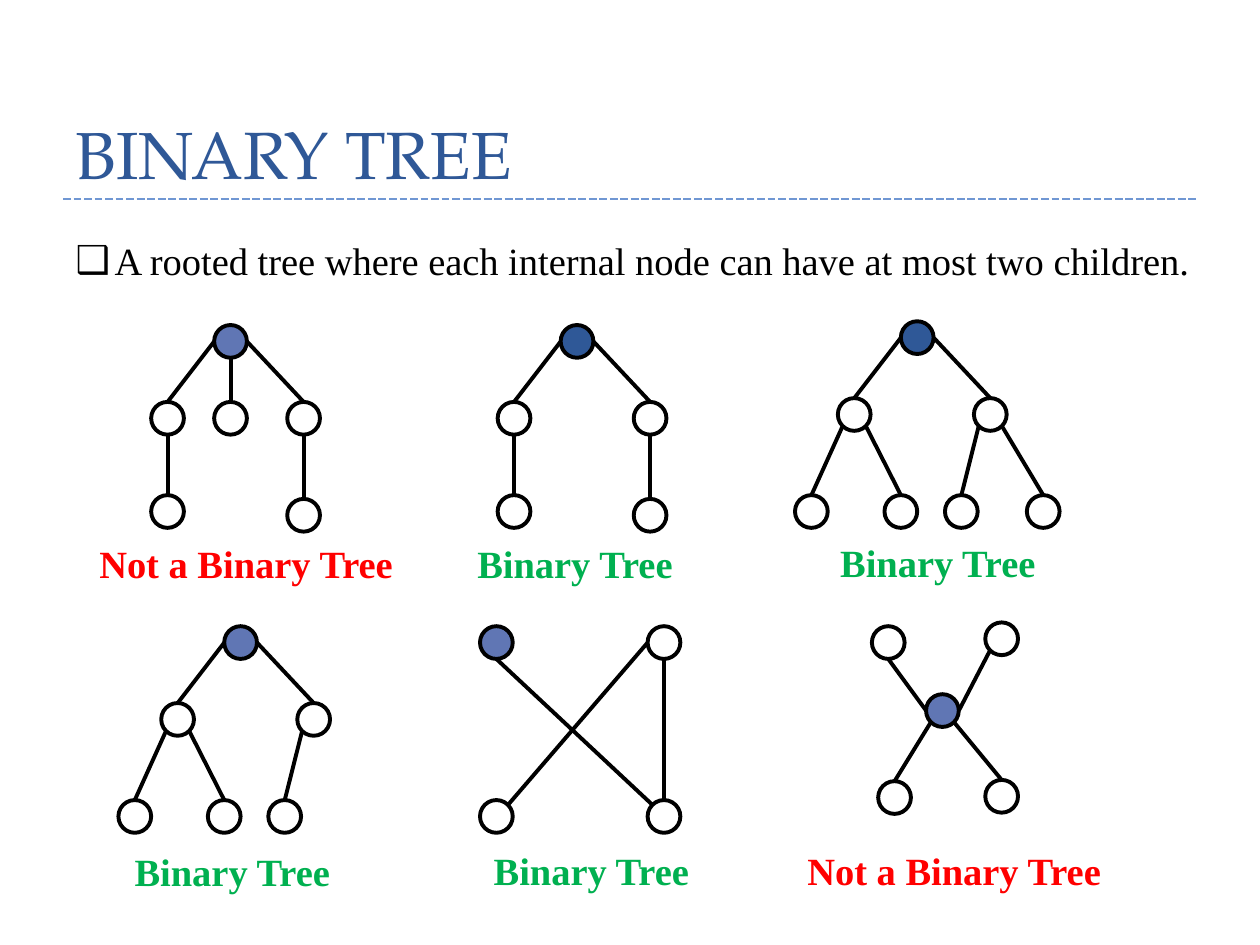
from lxml.etree import SubElement
from pptx import Presentation
from pptx.dml.color import RGBColor
from pptx.enum.dml import MSO_LINE
from pptx.enum.shapes import MSO_CONNECTOR, MSO_SHAPE
from pptx.enum.text import MSO_ANCHOR, MSO_AUTO_SIZE, PP_ALIGN
from pptx.oxml.ns import qn
from pptx.util import Inches, Pt

COLORS = {
    "title": "2F5897", "rule": "7097D3", "black": "000000",
    "light": "6076B4", "dark": "2F5897", "yes": "00B050", "no": "FF0000",
}
TITLE_FONT = {"name": "TeX Gyre Pagella", "size": Pt(38), "bold": False}
BODY_FONT = {"name": "Times New Roman", "size": Pt(22), "bold": False}
CAPTION_FONT = {**BODY_FONT, "bold": True}

DIAMETER = 0.26
RADIUS = DIAMETER / 2
DIAGONAL = RADIUS * 0.71
SITES = {
    "top": (0, -RADIUS), "bottom": (0, RADIUS),
    "left": (-RADIUS, 0), "right": (RADIUS, 0),
    "lower left": (-DIAGONAL, DIAGONAL), "lower right": (DIAGONAL, DIAGONAL),
    "upper left": (-DIAGONAL, -DIAGONAL), "upper right": (DIAGONAL, -DIAGONAL),
}

FORK_NODES = {"root": (0, 0), "a": (-0.5, 0.61), "b": (0.58, 0.61)}
FORK_EDGES = [("root", "left", "a", "top"), ("root", "right", "b", "top")]
CHAIN_NODES = {**FORK_NODES, "a1": (-0.5, 1.35), "b1": (0.58, 1.38)}
CHAIN_EDGES = FORK_EDGES + [("a", "bottom", "a1", "top"), ("b", "bottom", "b1", "top")]
THREE_LEAF_NODES = {**FORK_NODES, "a1": (-0.84, 1.38), "a2": (-0.13, 1.38), "b1": (0.35, 1.38)}
THREE_LEAF_EDGES = FORK_EDGES + [
    ("a", "lower left", "a1", "top"), ("a", "lower right", "a2", "top"),
    ("b", "lower left", "b1", "top"),
]
THREE_CHILD = (
    {**CHAIN_NODES, "c": (0, 0.61)}, CHAIN_EDGES + [("root", "bottom", "c", "top")],
)
TWO_CHAIN = (CHAIN_NODES, CHAIN_EDGES)
FOUR_LEAF = (
    {**THREE_LEAF_NODES, "b2": (1, 1.38)},
    THREE_LEAF_EDGES + [("b", "lower right", "b2", "top")],
)
THREE_LEAF = (THREE_LEAF_NODES, THREE_LEAF_EDGES)
CROSSING = (
    {"root": (0, 0), "a": (0, 1.38), "b": (1.33, 1.38), "c": (1.33, 0)},
    [("root", "bottom", "b", "upper left"), ("c", "left", "a", "upper right"),
     ("c", "bottom", "b", "top")],
)
STAR = (
    {"root": (0, 0), "a": (-0.43, -0.54), "b": (0.47, -0.57),
     "c": (-0.38, 0.69), "d": (0.47, 0.68)},
    [("root", "left", "a", "bottom"), ("root", "right", "b", "lower left"),
     ("root", "lower left", "c", "top"), ("root", "lower right", "d", "top")],
)
TREES = [
    (THREE_CHILD, (1.7, 2.58), "light", "no", (0.69, 4.24)),
    (TWO_CHAIN, (4.45, 2.58), "dark", "yes", (3.69, 4.24)),
    (FOUR_LEAF, (7.15, 2.55), "dark", "yes", (6.57, 4.23)),
    (THREE_LEAF, (1.78, 4.97), "light", "yes", (0.97, 6.68)),
    (CROSSING, (3.81, 4.97), "light", "yes", (3.82, 6.67)),
    (STAR, (7.35, 5.51), "light", "no", (6.31, 6.67)),
]
CAPTIONS = {"yes": ("Binary Tree", 1.77), "no": ("Not a Binary Tree", 2.56)}


def color(name):
    """Return the named colour."""
    return RGBColor.from_string(COLORS[name])


def set_attributes(target, values):
    """Set each named attribute on the target."""
    for name, value in values.items():
        setattr(target, name, value)


def place(shape, box):
    """Move and size a shape to a box in inches."""
    names = ("left", "top", "width", "height")
    set_attributes(shape, {name: Inches(value) for name, value in zip(names, box)})


def write(shape, text, font_values, color_name, frame_values, paragraph_values):
    """Write one formatted paragraph and return it."""
    set_attributes(shape.text_frame, frame_values)
    paragraph = shape.text_frame.paragraphs[0]
    set_attributes(paragraph, paragraph_values)
    run = paragraph.add_run()
    run.text = text
    set_attributes(run.font, font_values)
    run.font.color.rgb = color(color_name)
    return paragraph


def add_line(shapes, start, end, color_name, width):
    """Draw a straight line without a shadow and return it."""
    line = shapes.add_connector(
        MSO_CONNECTOR.STRAIGHT, *(Inches(value) for value in (*start, *end)))
    line.line.color.rgb = color(color_name)
    line.line.width = Pt(width)
    SubElement(line._element.spPr, qn("a:effectLst"))
    return line


def add_heading(slide, box):
    """Place the title and the dashed rule along its lower edge."""
    left, top, width, height = box
    place(slide.shapes.title, box)
    write(slide.shapes.title, "BINARY TREE", TITLE_FONT, "title",
          {"vertical_anchor": MSO_ANCHOR.BOTTOM, "auto_size": MSO_AUTO_SIZE.NONE},
          {"alignment": PP_ALIGN.LEFT, "line_spacing": Pt(58)})
    bottom = top + height
    rule = add_line(slide.shapes, (left, bottom), (left + width, bottom), "rule", 1.5)
    rule.line.dash_style = MSO_LINE.SQUARE_DOT


def add_definition(slide, box):
    """Place the bulleted definition."""
    body = slide.placeholders[1]
    place(body, box)
    paragraph = write(
        body, "A rooted tree where each internal node can have at most two children.",
        BODY_FONT, "black",
        {"word_wrap": True, "auto_size": MSO_AUTO_SIZE.NONE},
        {"alignment": PP_ALIGN.JUSTIFY, "space_before": Pt(0)})
    properties = paragraph._p.get_or_add_pPr()
    properties.set("marL", str(Inches(0.31)))
    properties.set("indent", str(Inches(-0.31)))
    SubElement(properties, qn("a:buChar")).set("char", "❑")


def add_tree(slide, tree, origin, root_color):
    """Draw a grouped tree with its root circle at the origin."""
    nodes, edges = tree
    shapes = slide.shapes.add_group_shape().shapes
    corners = {name: (origin[0] + x, origin[1] + y) for name, (x, y) in nodes.items()}
    for name, corner in corners.items():
        node = shapes.add_shape(
            MSO_SHAPE.OVAL, *(Inches(value) for value in (*corner, DIAMETER, DIAMETER)))
        node.shadow.inherit = False
        node.line.color.rgb = color("black")
        node.line.width = Pt(2.25)
        if name == "root":
            node.fill.solid()
            node.fill.fore_color.rgb = color(root_color)
        else:
            node.fill.background()
    for first, first_site, second, second_site in edges:
        start, end = (
            [corner + RADIUS + offset for corner, offset in zip(corners[name], SITES[site])]
            for name, site in ((first, first_site), (second, second_site)))
        add_line(shapes, start, end, "black", 2.25)


def add_caption(slide, verdict, corner):
    """Place the verdict below a tree."""
    text, width = CAPTIONS[verdict]
    caption = slide.shapes.add_textbox(
        *(Inches(value) for value in (*corner, width, 0.47)))
    write(caption, text, CAPTION_FONT, verdict,
          {"word_wrap": False, "auto_size": MSO_AUTO_SIZE.SHAPE_TO_FIT_TEXT},
          {"alignment": PP_ALIGN.LEFT})


def main():
    """Build and save the slide."""
    presentation = Presentation()
    presentation.slide_width, presentation.slide_height = Inches(10), Inches(7.5)
    slide = presentation.slides.add_slide(presentation.slide_layouts[1])
    add_heading(slide, (0.5, -0.17, 9, 1.75))
    add_definition(slide, (0.5, 1.83, 9.25, 0.47))
    for tree, origin, root_color, verdict, caption_corner in TREES:
        add_tree(slide, tree, origin, root_color)
        add_caption(slide, verdict, caption_corner)
    presentation.save("out.pptx")


if __name__ == "__main__":
    main()
